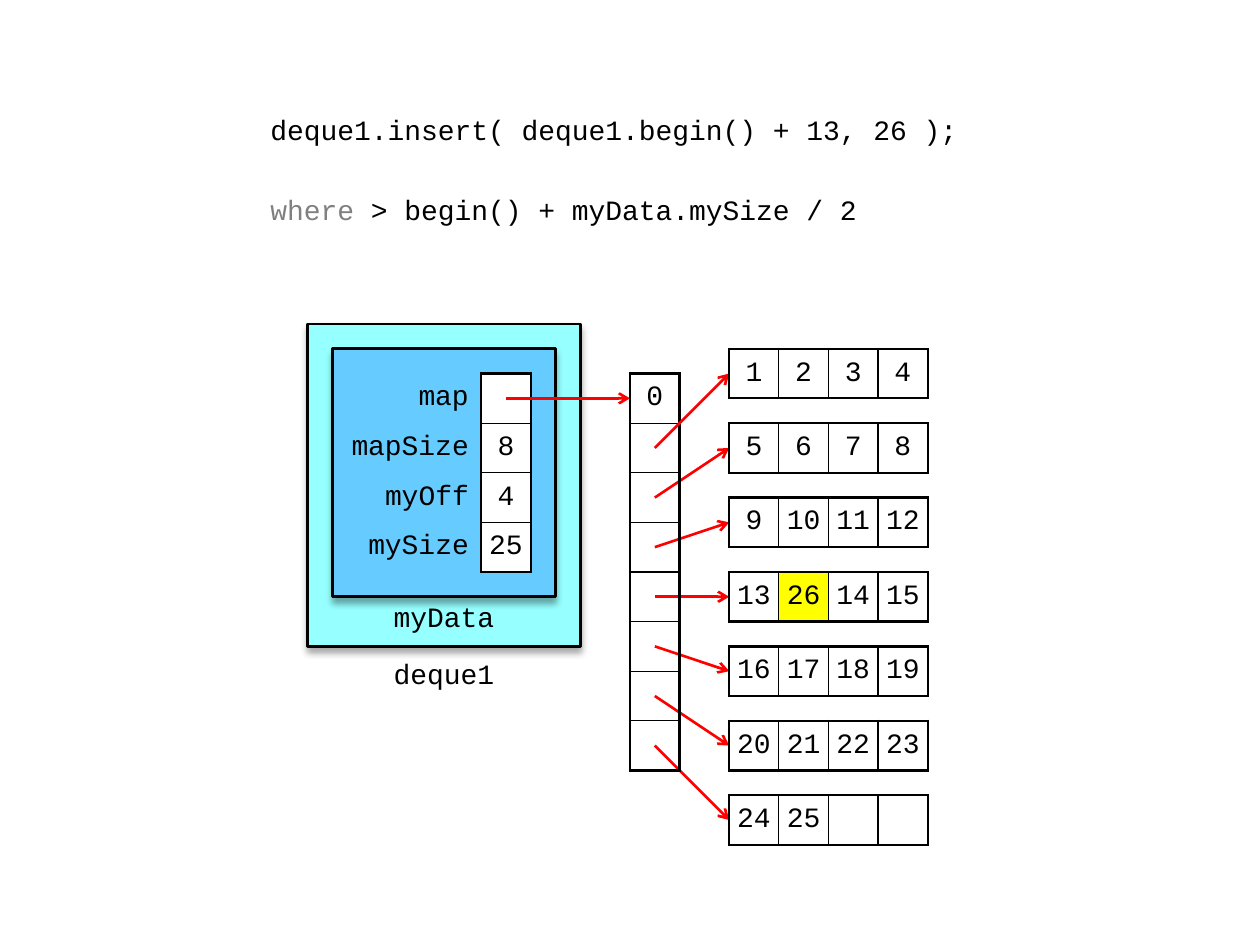
import lxml.etree
import pptx
import pptx.dml.color
import pptx.enum.shapes
import pptx.enum.text
import pptx.oxml.ns
import pptx.util

Cm = pptx.util.Cm
Pt = pptx.util.Pt
qn = pptx.oxml.ns.qn
tag = lxml.etree.SubElement
Align = pptx.enum.text.PP_ALIGN
Anchor = pptx.enum.text.MSO_ANCHOR


class Theme:
    font = "Courier New"
    size = Pt(16)
    thick = Pt(1.5)
    thin = Pt(0.75)
    black = pptx.dml.color.RGBColor.from_string("000000")
    gray = pptx.dml.color.RGBColor.from_string("808080")
    white = pptx.dml.color.RGBColor.from_string("FFFFFF")
    red = pptx.dml.color.RGBColor.from_string("FF0000")
    yellow = pptx.dml.color.RGBColor.from_string("FFFF00")
    aqua = pptx.dml.color.RGBColor.from_string("96FFFF")
    blue = pptx.dml.color.RGBColor.from_string("66CCFF")


deck = pptx.Presentation()
deck.slide_width, deck.slide_height = Cm(25.4), Cm(19.05)
slide = deck.slides.add_slide(deck.slide_layouts[6])
shapes = slide.shapes


def arrow(*ends):
    link = shapes.add_connector(pptx.enum.shapes.MSO_CONNECTOR.STRAIGHT, *map(Cm, ends))
    link.line.color.rgb = Theme.red
    link.line.width = Theme.thick
    tag(link.get_or_add_ln(), qn("a:tailEnd"), type="arrow")
    tag(link._element.spPr, qn("a:effectLst"))


def grid(x, y, rows, widths, first=0, fills={}):
    high, wide = len(rows), len(widths)
    frame = shapes.add_table(high, wide, Cm(x), Cm(y), Cm(sum(widths)), Cm(high))
    table = frame.table
    table.first_row = table.horz_banding = False
    style = table._tbl.tblPr.find(qn("a:tableStyleId"))
    style.text = "{2D5ABB26-0587-4C30-8999-92F81FD0307C}"
    for col, width in zip(table.columns, widths):
        col.width = Cm(width)
    for r, row in enumerate(rows):
        table.rows[r].height = Cm(1)
        for c, text in enumerate(row):
            cell = table.cell(r, c)
            label = c < first
            cell.vertical_anchor = Anchor.MIDDLE
            cell.margin_top = cell.margin_bottom = Cm(0.1)
            cell.margin_left = cell.margin_right = Cm(0.25 if label else 0.1)
            para = cell.text_frame.paragraphs[0]
            para.alignment = Align.RIGHT if label else Align.CENTER
            if text:
                run = para.add_run()
                run.text = text
                run.font.name, run.font.size = Theme.font, Theme.size
                run.font.color.rgb = Theme.black
            if not label:
                edges = {"L": c == first, "R": c == wide - 1, "T": r == 0, "B": r == high - 1}
                for side, outer in edges.items():
                    line = tag(cell._tc.get_or_add_tcPr(), qn("a:ln" + side),
                               w=str(Theme.thick if outer else Theme.thin))
                    tag(tag(line, qn("a:solidFill")), qn("a:srgbClr"), val=str(Theme.black))
            if text in fills or (first and not label):
                cell.fill.solid()
                cell.fill.fore_color.rgb = fills.get(text, Theme.white)
            else:
                cell.fill.background()


left, top, step = 14.7, 7.03, 1.5
for i in range(1, 7):
    arrow(13.2, 9.03 + i, left, top + 0.5 + step * i)

boxes = [
    (6.2, 6.53, 5.5, 6.5, Theme.aqua),
    (6.7, 7.03, 4.5, 5, Theme.blue),
]
for *place, fill in boxes:
    box = shapes.add_shape(pptx.enum.shapes.MSO_SHAPE.FLOWCHART_PROCESS, *map(Cm, place))
    box.fill.solid()
    box.fill.fore_color.rgb = fill
    box.line.color.rgb = Theme.black
    box.line.width = Theme.thick
    box.shadow.inherit = False
    shade = tag(box._element.spPr.find(qn("a:effectLst")), qn("a:outerShdw"),
                blurRad=str(Pt(4)), dist=str(Pt(3)), dir="5400000", rotWithShape="0")
    tag(tag(shade, qn("a:srgbClr"), val=str(Theme.black)), qn("a:alpha"), val="35000")

code = [
    [("deque1.insert( deque1.begin() + 13, 26 );", Theme.black)],
    [("where ", Theme.gray), ("> begin() + myData.mySize / 2", Theme.black)],
]
texts = [
    (5.2, 2.03, 15, 2.5, 0.25, 0.23, Anchor.TOP, Align.LEFT, code),
    (7.2, 13.03, 3.5, 1, 0.2, 0.1, Anchor.MIDDLE, Align.CENTER, [[("deque1", Theme.black)]]),
    (7.7, 12.03, 2.5, 1, 0.2, 0.05, Anchor.TOP, Align.CENTER, [[("myData", Theme.black)]]),
]
for *place, side, inset, anchor, align, lines in texts:
    frame = shapes.add_textbox(*map(Cm, place)).text_frame
    frame.word_wrap = True
    frame.vertical_anchor = anchor
    frame.margin_left = frame.margin_right = Cm(side)
    frame.margin_top, frame.margin_bottom = Cm(inset), 0
    for i, line in enumerate(lines):
        para = frame.add_paragraph() if i else frame.paragraphs[0]
        para.alignment = align
        if i:
            para.space_before = Pt(26.5)
        for text, color in line:
            run = para.add_run()
            run.text = text
            run.font.name, run.font.size = Theme.font, Theme.size
            run.font.color.rgb = color

fields = [("map", ""), ("mapSize", "8"), ("myOff", "4"), ("mySize", "25")]
grid(6.7, 7.53, fields, [3, 1], first=1)
arrow(10.2, 8.03, 12.7, 8.03)
grid(12.7, 7.53, [["0"]] + [[""]] * 7, [1])
arrow(13.2, 9.03, left, top + 0.5)

items = [str(n) for n in range(1, 26)]
items.insert(13, "26")
items += [""] * 2
for i in range(7):
    block = items[4 * i:4 * i + 4]
    grid(left, top + step * i, [block], [1] * 4, fills={"26": Theme.yellow})

deck.save("out.pptx")
